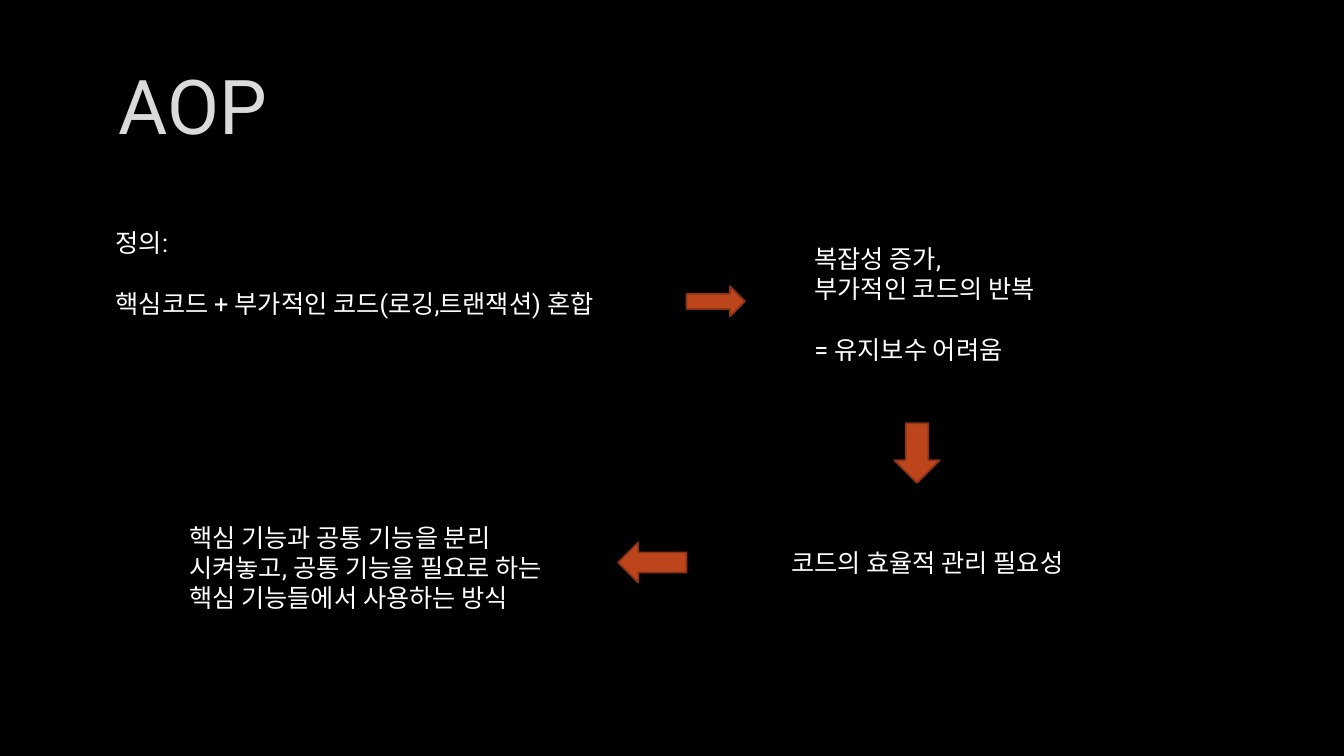
import pptx
import pptx.util
import pptx.dml.color
import pptx.enum.shapes
import pptx.enum.text

Inches, Pt = pptx.util.Inches, pptx.util.Pt
RGB = pptx.dml.color.RGBColor.from_string
KIND = pptx.enum.shapes.MSO_SHAPE
ANCHOR = pptx.enum.text.MSO_ANCHOR
ALIGN = pptx.enum.text.PP_ALIGN

COLORS = {"back": "000000", "title": "DADADA", "text": "FFFFFF",
          "arrow": "BC451B", "edge": "8B3314"}
FONT = "Roboto"
GAP = 21.8

TITLE = ("AOP", (0.1, 0.12, 3.63, 1.41))
NOTES = [
    ((1.05, 2.21, 7.82, 1.31),
     [("정의:", 0), ("핵심코드 + 부가적인 코드(로깅,트랜잭션) 혼합", GAP)]),
    ((7.98, 2.36, 2.76, 1.31),
     [("복잡성 증가,", 0), ("부가적인 코드의 반복", 0),
      ("= 유지보수 어려움", GAP)]),
    ((1.78, 5.13, 3.91, 1.31),
     [("핵심 기능과 공통 기능을 분리 시켜놓고, 공통 기능을 필요로 하는 "
       "핵심 기능들에서 사용하는 방식", 0)]),
    ((7.75, 5.38, 3.58, 0.4), [("코드의 효율적 관리 필요성", 0)]),
]
ARROWS = [
    (KIND.RIGHT_ARROW, (6.81, 2.84, 0.58, 0.3), 0),
    (KIND.DOWN_ARROW, (8.87, 4.2, 0.45, 0.59), 0),
    (KIND.RIGHT_ARROW, (6.13, 5.38, 0.68, 0.4), 180),
]


def add_text(slide, box, lines, size, color, align=ALIGN.LEFT,
             anchor=ANCHOR.TOP):
    frame = slide.shapes.add_textbox(*map(Inches, box)).text_frame
    frame.word_wrap = True
    frame.vertical_anchor = anchor
    for i, (text, gap) in enumerate(lines):
        para = frame.add_paragraph() if i else frame.paragraphs[0]
        para.alignment = align
        para.space_before = Pt(gap)
        run = para.add_run()
        run.text = text
        run.font.name = FONT
        run.font.size = Pt(size)
        run.font.color.rgb = RGB(COLORS[color])


def add_arrow(slide, kind, box, turn):
    arrow = slide.shapes.add_shape(kind, *map(Inches, box))
    arrow.rotation = turn
    arrow.shadow.inherit = False
    arrow.fill.solid()
    arrow.fill.fore_color.rgb = RGB(COLORS["arrow"])
    arrow.line.color.rgb = RGB(COLORS["edge"])
    arrow.line.width = Pt(1.25)


def main():
    """Build the AOP slide."""
    deck = pptx.Presentation()
    deck.slide_width, deck.slide_height = Inches(13.33), Inches(7.5)
    slide = deck.slides.add_slide(deck.slide_layouts[6])
    slide.background.fill.solid()
    slide.background.fill.fore_color.rgb = RGB(COLORS["back"])
    text, box = TITLE
    add_text(slide, box, [(text, 0)], 54, "title", ALIGN.CENTER,
             ANCHOR.BOTTOM)
    for box, lines in NOTES:
        add_text(slide, box, lines, 18, "text")
    for kind, box, turn in ARROWS:
        add_arrow(slide, kind, box, turn)
    deck.save("out.pptx")


if __name__ == "__main__":
    main()
